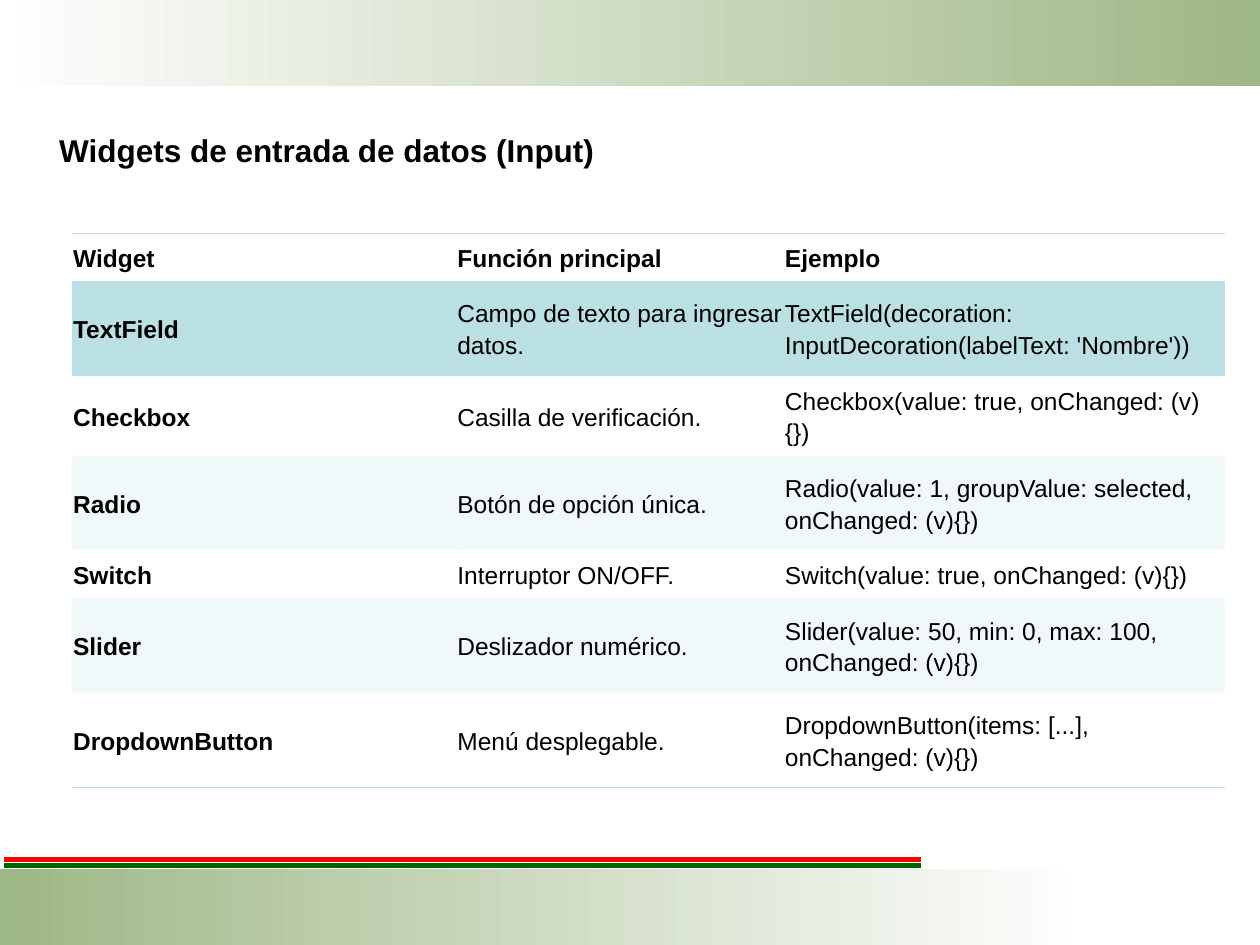
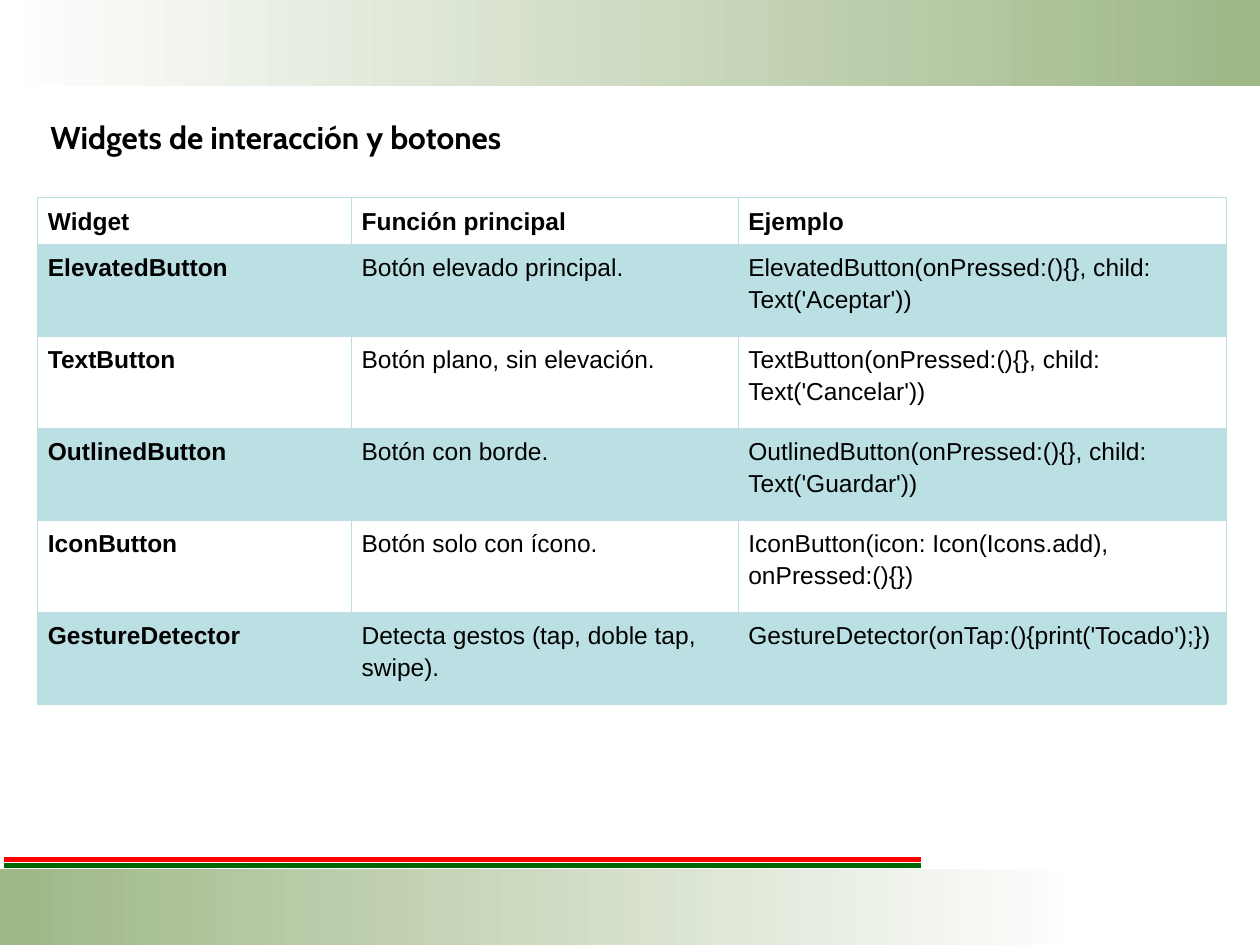
from lxml.etree import SubElement
from pptx import Presentation
from pptx.dml.color import RGBColor
from pptx.enum.shapes import MSO_CONNECTOR, MSO_SHAPE
from pptx.enum.text import MSO_ANCHOR, MSO_AUTO_SIZE, PP_ALIGN
from pptx.oxml.ns import qn
from pptx.util import Inches, Pt

WHITE, BLACK = "FFFFFF", "000000"
BAND_GREEN, RED, DARK_GREEN = "9EB786", "FF0000", "006600"
TABLE_BLUE = "BBE0E3"
STRIPE_ALPHA = 20
THIN_RULE, HEADER_RULE = 0.45, 0.96
BODY_FONT = "Arial"
NO_STYLE_NO_GRID = "{2D5ABB26-0587-4C30-8999-92F81FD0307C}"

HEADINGS = ("Widget", "Función principal", "Ejemplo")
INPUT_WIDGETS = [
    HEADINGS,
    ("TextField", "Campo de texto para ingresar datos.",
     "TextField(decoration: InputDecoration(labelText: 'Nombre'))"),
    ("Checkbox", "Casilla de verificación.",
     "Checkbox(value: true, onChanged: (v){})"),
    ("Radio", "Botón de opción única.",
     "Radio(value: 1, groupValue: selected, onChanged: (v){})"),
    ("Switch", "Interruptor ON/OFF.",
     "Switch(value: true, onChanged: (v){})"),
    ("Slider", "Deslizador numérico.",
     "Slider(value: 50, min: 0, max: 100, onChanged: (v){})"),
    ("DropdownButton", "Menú desplegable.",
     "DropdownButton(items: [...], onChanged: (v){})"),
]
BUTTON_WIDGETS = [
    HEADINGS,
    ("ElevatedButton", "Botón elevado principal.",
     "ElevatedButton(onPressed:(){}, child: Text('Aceptar'))"),
    ("TextButton", "Botón plano, sin elevación.",
     "TextButton(onPressed:(){}, child: Text('Cancelar'))"),
    ("OutlinedButton", "Botón con borde.",
     "OutlinedButton(onPressed:(){}, child: Text('Guardar'))"),
    ("IconButton", "Botón solo con ícono.",
     "IconButton(icon: Icon(Icons.add), onPressed:(){})"),
    ("GestureDetector", "Detecta gestos (tap, doble tap, swipe).",
     "GestureDetector(onTap:(){print('Tocado');})"),
]


def color(hex_value):
    return RGBColor.from_string(hex_value)


def format_font(font, name, size, bold):
    font.name, font.size, font.bold = name, Pt(size), bold
    font.color.rgb = color(BLACK)


def add_band(page, top, width, height, start, end):
    """Add a borderless band that fades from left to right."""
    band = page.shapes.add_shape(MSO_SHAPE.RECTANGLE, 0, Inches(top),
                                 Inches(width), Inches(height))
    band.shadow.inherit = False
    band.line.fill.background()
    band.fill.gradient()
    band.fill.gradient_angle = 0
    for stop, stop_color in zip(band.fill.gradient_stops, (start, end)):
        stop.color.rgb = color(stop_color)


def add_stripe(page, y, line_color):
    stripe = page.shapes.add_connector(MSO_CONNECTOR.STRAIGHT, Inches(0.03),
                                       Inches(y), Inches(7.31), Inches(y))
    stripe.line.color.rgb = color(line_color)
    stripe.line.width = Pt(3)
    SubElement(stripe._element.spPr, qn("a:effectLst"))


def add_page(deck, title, left, top, title_font):
    """Add a slide with the shared bands and stripes, and its title."""
    page = deck.slides.add_slide(deck.slide_layouts[5])
    add_band(page, 0, 10, 0.68, WHITE, BAND_GREEN)
    add_band(page, 6.9, 8.62, 0.6, BAND_GREEN, WHITE)
    add_stripe(page, 6.82, RED)
    add_stripe(page, 6.87, DARK_GREEN)

    box = page.shapes.title
    box.left, box.top = Inches(left), Inches(top)
    box.width, box.height = Inches(5), Inches(0.4)
    frame = box.text_frame
    frame.text = title
    frame.word_wrap = True
    frame.auto_size = MSO_AUTO_SIZE.SHAPE_TO_FIT_TEXT
    frame.vertical_anchor = MSO_ANCHOR.TOP
    para = frame.paragraphs[0]
    para.alignment = PP_ALIGN.LEFT
    format_font(para.runs[0].font, title_font, 18, True)
    return page


def row_borders(row, last_row, grid):
    """Return the border widths of a row's cells, keyed by side, in schema order."""
    if grid:
        borders = dict.fromkeys("LRTB", THIN_RULE)
        if row == 0:
            borders["B"] = HEADER_RULE
        elif row == 1:
            borders["T"] = HEADER_RULE
        return borders
    borders = {}
    if row <= 1:
        borders["T"] = THIN_RULE
    if row in (0, last_row):
        borders["B"] = THIN_RULE
    return borders


def draw_borders(cell, borders):
    properties = cell._tc.get_or_add_tcPr()
    for side, width in borders.items():
        line = SubElement(properties, qn(f"a:ln{side}"), w=str(Pt(width)))
        fill = SubElement(line, qn("a:solidFill"))
        SubElement(fill, qn("a:srgbClr"), val=TABLE_BLUE)


def fill_cell(cell, striped):
    if not striped:
        cell.fill.background()
        return
    cell.fill.solid()
    cell.fill.fore_color.rgb = color(TABLE_BLUE)
    tint = cell._tc.tcPr.find(".//" + qn("a:srgbClr"))
    SubElement(tint, qn("a:alpha"), val=str(STRIPE_ALPHA * 1000))


def write_cell(cell, text, bold, margin, anchor):
    cell.margin_left = cell.margin_right = Inches(margin)
    cell.margin_top = cell.margin_bottom = Inches(0.05)
    cell.vertical_anchor = anchor
    cell.text_frame.text = text
    para = cell.text_frame.paragraphs[0]
    para.line_spacing = 1.15
    para.space_after = Pt(8)
    format_font(para.runs[0].font, BODY_FONT, 14, bold)


def add_widget_table(page, rows, left, top, widths, heights, margin, anchor, grid):
    shape = page.shapes.add_table(len(rows), len(widths), Inches(left), Inches(top),
                                  Inches(sum(widths)), Inches(sum(heights)))
    table = shape.table
    table.horz_banding = False
    table._tbl.tblPr.find(qn("a:tableStyleId")).text = NO_STYLE_NO_GRID
    for column, width in zip(table.columns, widths):
        column.width = Inches(width)
    for r, (texts, height) in enumerate(zip(rows, heights)):
        table.rows[r].height = Inches(height)
        borders = row_borders(r, len(rows) - 1, grid)
        for c, text in enumerate(texts):
            cell = table.cell(r, c)
            write_cell(cell, text, r == 0 or c == 0, margin, anchor)
            draw_borders(cell, borders)
            fill_cell(cell, r % 2 == 1)


def main():
    deck = Presentation()
    deck.slide_width, deck.slide_height = Inches(10), Inches(7.5)

    page = add_page(deck, "Widgets de entrada de datos (Input)", 0.37, 0.99, BODY_FONT)
    add_widget_table(page, INPUT_WIDGETS, 0.57, 1.85, (3.05, 2.6, 3.5),
                     (0.38, 0.75, 0.56, 0.75, 0.38, 0.75, 0.75),
                     margin=0.01, anchor=MSO_ANCHOR.MIDDLE, grid=False)

    page = add_page(deck, "Widgets de interacción y botones", 0.3, 0.89, "Cabin")
    add_widget_table(page, BUTTON_WIDGETS, 0.3, 1.57, (2.49, 3.07, 3.87),
                     [0.36] + [0.73] * 5,
                     margin=0.08, anchor=MSO_ANCHOR.TOP, grid=True)

    deck.save("out.pptx")


if __name__ == "__main__":
    main()
